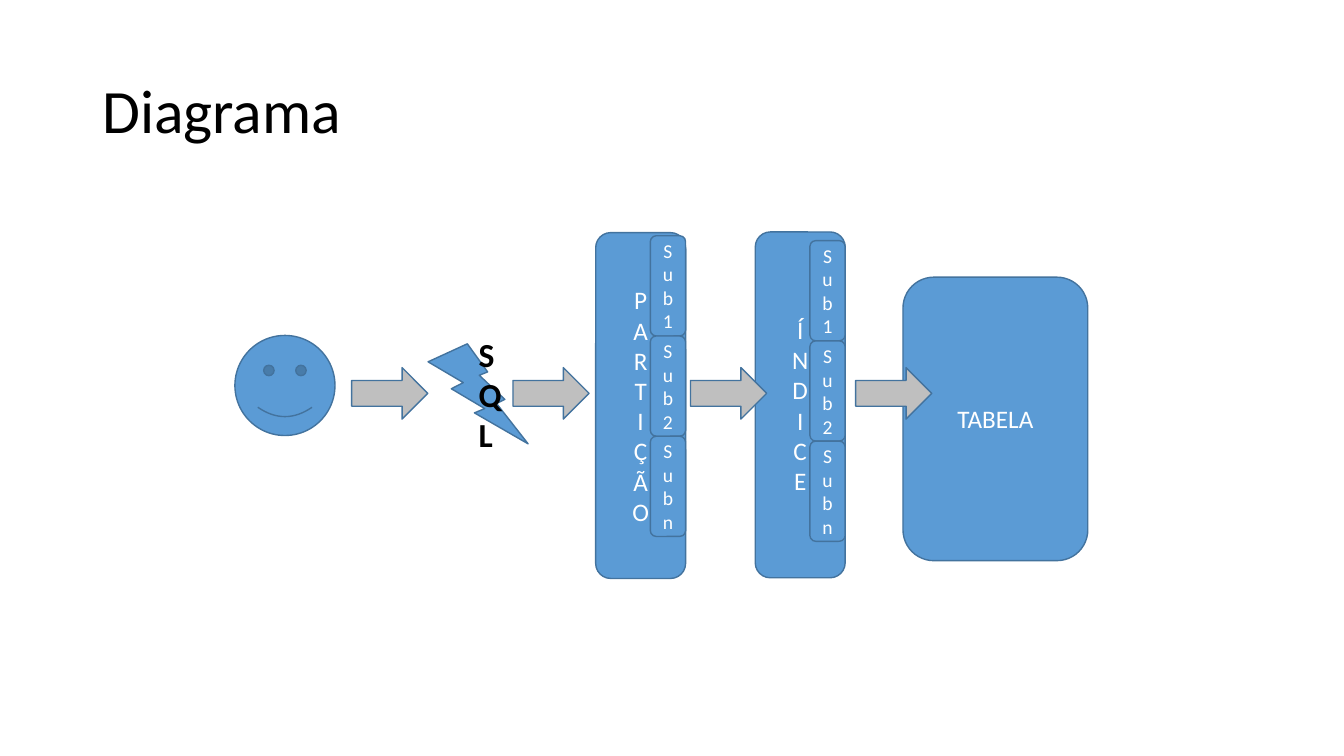
from dataclasses import dataclass

from pptx import Presentation
from pptx.dml.color import RGBColor
from pptx.enum.shapes import MSO_SHAPE
from pptx.enum.text import MSO_ANCHOR, PP_ALIGN
from pptx.util import Pt

ROUNDED = MSO_SHAPE.ROUNDED_RECTANGLE
SMILEY = MSO_SHAPE.SMILEY_FACE
BOLT = MSO_SHAPE.LIGHTNING_BOLT
ARROW = MSO_SHAPE.RIGHT_ARROW
MIDDLE = MSO_ANCHOR.MIDDLE
CENTER, LEFT = PP_ALIGN.CENTER, PP_ALIGN.LEFT


@dataclass(frozen=True)
class Theme:
    font: str = "Calibri"
    blue: RGBColor = RGBColor(0x5B, 0x9B, 0xD5)
    gray: RGBColor = RGBColor(0xBF, 0xBF, 0xBF)
    outline: RGBColor = RGBColor(0x43, 0x73, 0x9E)
    black: RGBColor = RGBColor(0, 0, 0)
    white: RGBColor = RGBColor(0xFF, 0xFF, 0xFF)
    title_size: int = 44
    query_size: int = 24
    label_size: int = 18
    sub_size: int = 14


THEME = Theme()


@dataclass(frozen=True)
class Box:
    left: float
    top: float
    width: float
    height: float

    def lengths(self):
        return Pt(self.left), Pt(self.top), Pt(self.width), Pt(self.height)


def write(shape, text, size, color=THEME.white, align=CENTER, bold=False):
    frame = shape.text_frame
    frame.text = text
    frame.word_wrap = True
    frame.vertical_anchor = MIDDLE
    for para in frame.paragraphs:
        para.alignment = align
        for span in para.runs:
            span.font.name = THEME.font
            span.font.size = Pt(size)
            span.font.bold = bold
            span.font.color.rgb = color


def add_block(page, kind, box, fill=THEME.blue):
    shape = page.shapes.add_shape(kind, *box.lengths())
    shape.shadow.inherit = False
    shape.fill.solid()
    shape.fill.fore_color.rgb = fill
    shape.line.color.rgb = THEME.outline
    shape.line.width = Pt(1)
    return shape


def add_title(page, box):
    title = page.shapes.add_textbox(*box.lengths())
    write(title, "Diagrama", THEME.title_size, THEME.black, LEFT)
    title.text_frame.paragraphs[0].line_spacing = 0.9


def add_query(page, box):
    """User on the left, SQL bolt on the right of the box."""
    side = 71.5
    add_block(page, SMILEY, Box(box.left, box.top, side, side))
    bolt_left = box.left + box.width - side
    bolt_top = box.top + box.height - side
    bolt = add_block(page, BOLT, Box(bolt_left, bolt_top, side, side))
    write(bolt, "SQL", THEME.query_size, THEME.black, bold=True)


def add_column(page, box, word, sub_offset):
    """Tall block with one letter a line and stacked parts at its right edge."""
    column = add_block(page, ROUNDED, box)
    write(column, "\n".join(word), THEME.label_size)
    width, height = 25.2, 71.6
    left = box.left + box.width - width
    for row, name in enumerate(("Sub 1", "Sub 2", "Sub n")):
        top = box.top + sub_offset + row * height
        part = add_block(page, ROUNDED, Box(left, top, width, height))
        write(part, name, THEME.sub_size)


def add_table_block(page, box):
    write(add_block(page, ROUNDED, box), "TABELA", THEME.label_size)


def add_flow(page, box, lefts):
    """Arrows of the box's size, at the given distances from its left."""
    for left in lefts:
        step = Box(box.left + left, box.top, box.width, box.height)
        add_block(page, ARROW, step, THEME.gray)


def main():
    deck = Presentation()
    deck.slide_width, deck.slide_height = Pt(960), Pt(540)
    page = deck.slides.add_slide(deck.slide_layouts[6])

    add_title(page, Box(66, 28.8, 828, 104.4))
    add_table_block(page, Box(645, 198, 132, 202.5))
    add_query(page, Box(167.8, 239.6, 209.5, 77.5))
    add_column(page, Box(539.5, 165.7, 64.2, 247), "ÍNDICE", 6.2)
    add_column(page, Box(425.5, 166.2, 64.2, 247), "PARTIÇÃO", 2.2)
    add_flow(page, Box(251.2, 262.6, 54.4, 36.8), (0, 115.2, 242, 360))

    deck.save("out.pptx")


if __name__ == "__main__":
    main()
